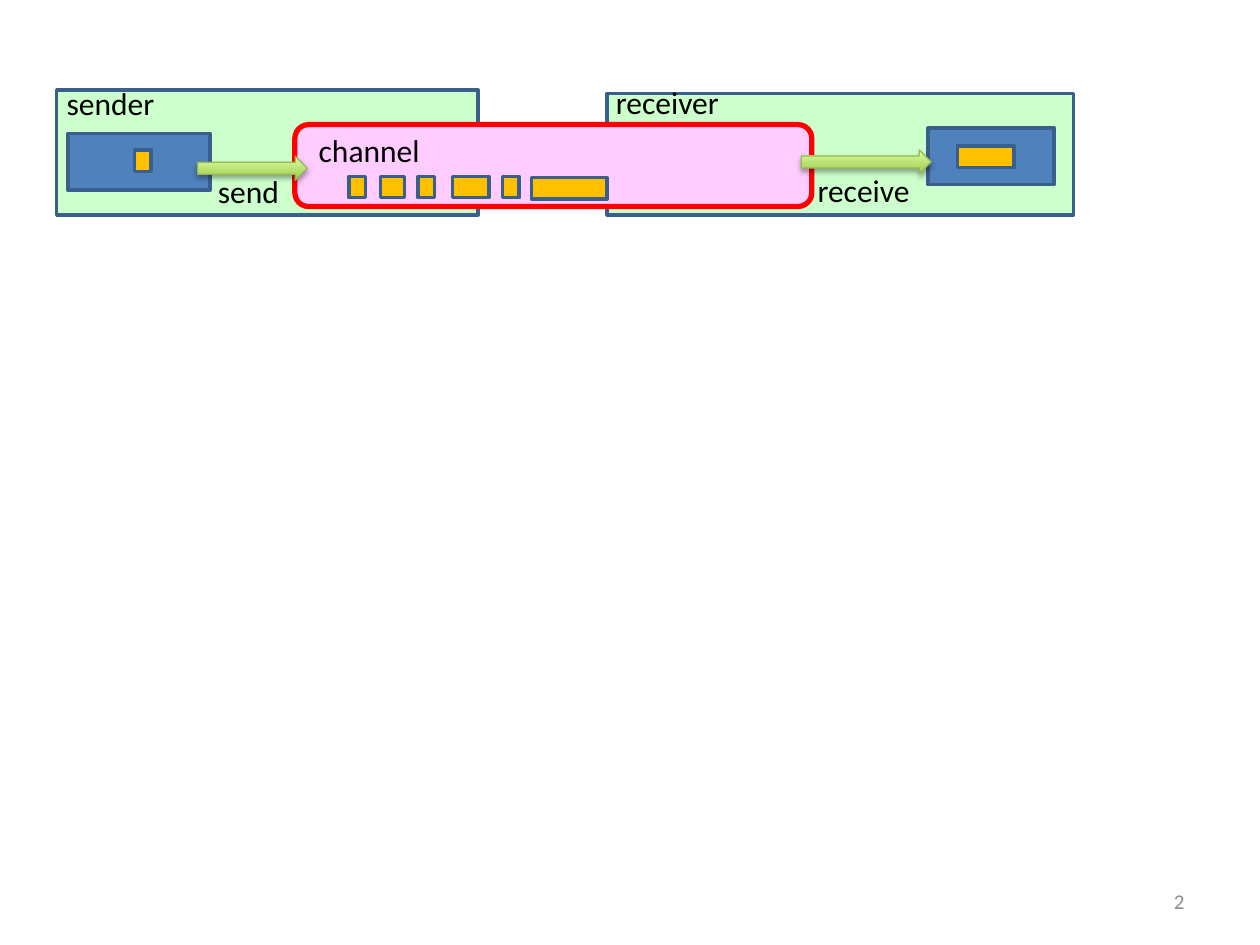
from dataclasses import dataclass

from lxml.etree import SubElement
from pptx import Presentation
from pptx.dml.color import RGBColor
from pptx.enum.shapes import MSO_SHAPE
from pptx.enum.text import MSO_ANCHOR, MSO_AUTO_SIZE, PP_ALIGN
from pptx.oxml.ns import qn
from pptx.shapes.autoshape import Shape
from pptx.slide import Slide
from pptx.util import Pt

OUTLINE = "3A5F8C"
PROCESS = "CCFFCC"
BUFFER = "4F81BD"
MESSAGE = "FFC000"
MESSAGE_HEIGHT = 12.24


@dataclass
class Box:
    left: float
    top: float
    width: float
    height: float
    fill: str
    line: str = OUTLINE
    line_width: float = 2
    kind: MSO_SHAPE = MSO_SHAPE.RECTANGLE


@dataclass
class Label:
    text: str
    left: float
    top: float
    width: float
    height: float = 28.8
    size: float = 18
    color: str = "000000"
    alignment: PP_ALIGN = PP_ALIGN.LEFT
    anchor: MSO_ANCHOR = MSO_ANCHOR.TOP
    wrap: bool = False


@dataclass
class Arrow:
    left: float
    top: float
    width: float
    height: float = 13.68


def message(left: float, top: float, width: float) -> Box:
    return Box(left, top, width, MESSAGE_HEIGHT, MESSAGE)


BOXES = [
    Box(32.4, 51.6, 240.8, 71.2, PROCESS),
    Box(347, 53.4, 266.5, 69.4, PROCESS),
    Box(38.9, 76.3, 81.2, 32.4, BUFFER),
    Box(530.4, 73.2, 72, 32.4, BUFFER),
    message(77, 85.7, 9.4),
    message(547.2, 83.5, 32.4),
    Box(168.5, 71.2, 295.4, 46.8, "FFCCFF", "FF0000", 3, MSO_SHAPE.ROUNDED_RECTANGLE),
]

LABELS = [
    Label("channel", 175, 71.2, 78.5),
    Label("send", 117.4, 95, 54),
    Label("receive", 460.1, 94.3, 73.4),
    Label("sender", 31, 44.6, 69.8),
    Label("receiver", 344.9, 43.9, 79.2),
    Label("2", 516.2, 500.4, 167.8, size=12, color="8C8C8C",
          alignment=PP_ALIGN.RIGHT, anchor=MSO_ANCHOR.MIDDLE, wrap=True),
]

ARROWS = [Arrow(113, 89.3, 62.6), Arrow(457.9, 85.7, 74.2)]

QUEUED_MESSAGES = [
    message(199.4, 100.8, 9.4),
    message(217.4, 100.8, 13.7),
    message(239, 100.8, 9.4),
    message(258.5, 100.8, 20.9),
    message(287.3, 100.8, 9.4),
    message(303.8, 101.5, 43.2),
]


def color_of(value: str) -> RGBColor:
    return RGBColor.from_string(value)


def add_outlined_shape(slide: Slide, kind: MSO_SHAPE, item: Box | Arrow,
                       line: str, line_width: float) -> Shape:
    shape = slide.shapes.add_shape(
        kind, Pt(item.left), Pt(item.top), Pt(item.width), Pt(item.height))
    shape.shadow.inherit = False
    shape.line.color.rgb = color_of(line)
    shape.line.width = Pt(line_width)
    return shape


def draw_box(slide: Slide, box: Box) -> None:
    shape = add_outlined_shape(slide, box.kind, box, box.line, box.line_width)
    shape.fill.solid()
    shape.fill.fore_color.rgb = color_of(box.fill)


def draw_label(slide: Slide, label: Label) -> None:
    shape = slide.shapes.add_textbox(
        Pt(label.left), Pt(label.top), Pt(label.width), Pt(label.height))
    frame = shape.text_frame
    frame.word_wrap = label.wrap
    frame.auto_size = MSO_AUTO_SIZE.NONE if label.wrap else MSO_AUTO_SIZE.SHAPE_TO_FIT_TEXT
    frame.vertical_anchor = label.anchor
    paragraph = frame.paragraphs[0]
    paragraph.text = label.text
    paragraph.alignment = label.alignment
    paragraph.font.name = "Calibri"
    paragraph.font.size = Pt(label.size)
    paragraph.font.color.rgb = color_of(label.color)


def add_shadow(shape: Shape) -> None:
    effects = shape._element.spPr.find(qn("a:effectLst"))
    shadow = SubElement(effects, qn("a:outerShdw"), blurRad=str(Pt(3.1)),
                        dist=str(Pt(1.8)), dir="5400000", rotWithShape="0")
    color = SubElement(shadow, qn("a:srgbClr"), val="000000")
    SubElement(color, qn("a:alpha"), val="35000")


def draw_arrow(slide: Slide, arrow: Arrow) -> None:
    shape = add_outlined_shape(slide, MSO_SHAPE.RIGHT_ARROW, arrow, "98B955", 0.75)
    shape.fill.gradient()
    shape.fill.gradient_angle = 90
    for stop, position, color in zip(
            shape.fill.gradient_stops, (0, 1), ("A0CA4A", "DAFFA5")):
        stop.position = position
        stop.color.rgb = color_of(color)
    add_shadow(shape)


def main() -> None:
    presentation = Presentation()
    presentation.slide_width = Pt(720)
    presentation.slide_height = Pt(540)
    slide = presentation.slides.add_slide(presentation.slide_layouts[6])
    for box in BOXES:
        draw_box(slide, box)
    for label in LABELS:
        draw_label(slide, label)
    for arrow in ARROWS:
        draw_arrow(slide, arrow)
    for queued in QUEUED_MESSAGES:
        draw_box(slide, queued)
    presentation.save("out.pptx")


if __name__ == "__main__":
    main()
